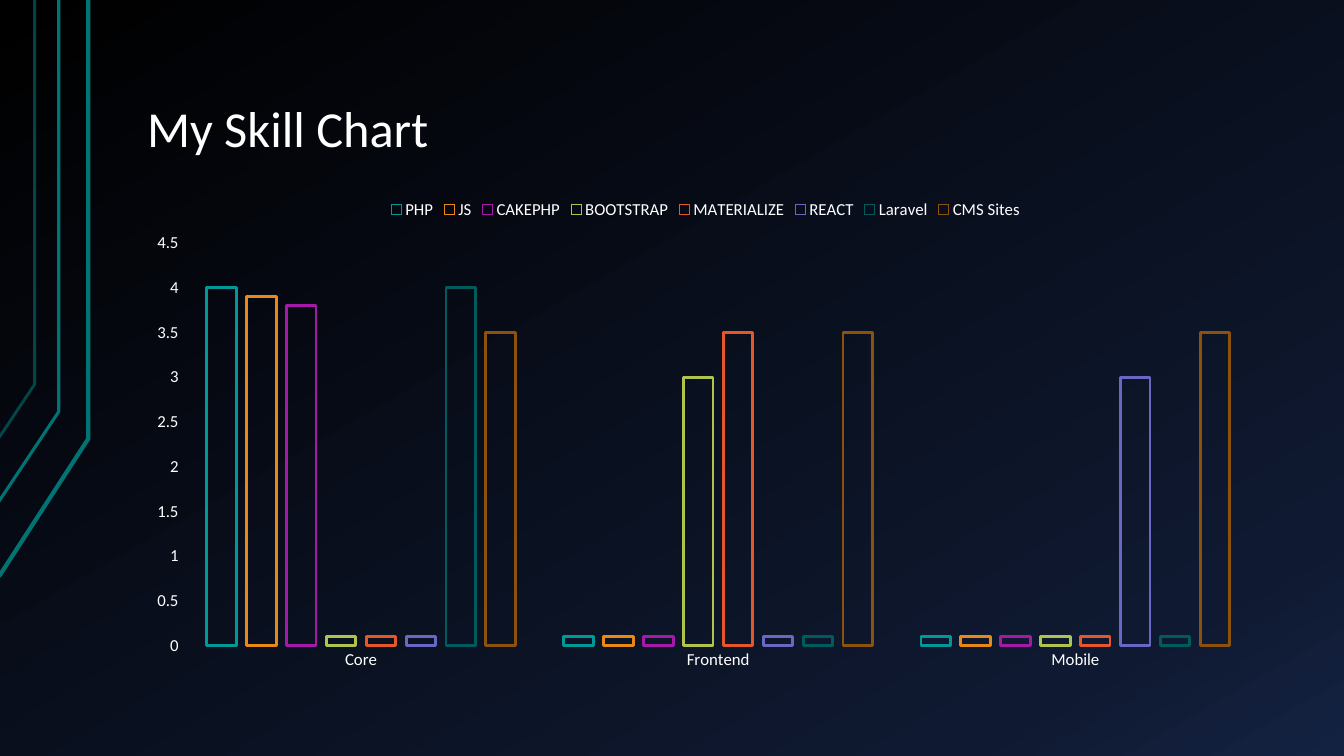
from copy import deepcopy

from lxml import etree
from pptx import Presentation
from pptx.chart.data import CategoryChartData
from pptx.dml.color import RGBColor
from pptx.enum.chart import XL_CHART_TYPE, XL_LEGEND_POSITION, XL_TICK_MARK
from pptx.enum.text import MSO_ANCHOR, PP_ALIGN
from pptx.oxml.ns import qn
from pptx.util import Pt

PX = 9525  # EMU per px, 96 px to the inch
SLIDE_W, SLIDE_H = 1280, 720
FONT = "Calibri"
COLUMNS = XL_CHART_TYPE.COLUMN_CLUSTERED
LEGEND_TOP = XL_LEGEND_POSITION.TOP
NO_TICK = XL_TICK_MARK.NONE
BOTTOM = MSO_ANCHOR.BOTTOM
LEFT = PP_ALIGN.LEFT
TITLE_ONLY = 5

COLORS = {
    "black": "000000", "navy": "0F1931", "blue": "142242",
    "white": "FFFFFF", "circuit": "007373",
    "teal": "009999", "orange": "E98915", "purple": "A419A7", "lime": "AFC34D",
    "red": "E5572B", "violet": "6868C4", "dark teal": "005C5C", "brown": "8C520D",
}
BACKGROUND_STOPS = [(0, "black"), (0.85, "navy"), (1, "blue")]

AREAS = ["Core", "Frontend", "Mobile"]
SKILLS = [
    ("PHP", (4, 0.1, 0.1), "teal"),
    ("JS", (3.9, 0.1, 0.1), "orange"),
    ("CAKEPHP", (3.8, 0.1, 0.1), "purple"),
    ("BOOTSTRAP", (0.1, 3, 0.1), "lime"),
    ("MATERIALIZE", (0.1, 3.5, 0.1), "red"),
    ("REACT", (0.1, 0.1, 3), "violet"),
    ("Laravel", (4, 0.1, 0.1), "dark teal"),
    ("CMS Sites", (3.5, 3.5, 3.5), "brown"),
]


def rgb(name):
    return RGBColor.from_string(COLORS[name])


def emu(box):
    return [length * PX for length in box]


def style_font(font, size):
    font.name = FONT
    font.size = Pt(size)
    font.color.rgb = rgb("white")


def paint_background(slide):
    fill = slide.background.fill
    fill.gradient()
    fill.gradient_angle = 300
    # A new gradient has two stops: add the third
    stop_list = next(slide.element.iter(qn("a:gsLst")))
    stop_list.append(deepcopy(stop_list[-1]))
    for stop, (position, color) in zip(fill.gradient_stops, BACKGROUND_STOPS):
        stop.position = position
        stop.color.rgb = rgb(color)


def draw_circuit_lines(slide, box):
    left, top, _, _ = box
    # Bend x, bend y, end x, end y, line width, opacity in percent
    traces = [
        (84, 418, -1, 549, 3, 100),
        (56, 392, -2, 479, 2.25, 100),
        (33, 366, -1, 417, 2, 60),
    ]
    for bend_x, bend_y, end_x, end_y, width, opacity in traces:
        builder = slide.shapes.build_freeform(left + end_x, top + end_y, scale=PX)
        builder.add_line_segments(
            [(left + bend_x, top + bend_y), (left + bend_x, top)], close=False)
        trace = builder.convert_to_shape()
        trace.shadow.inherit = False
        trace.fill.background()
        trace.line.width = Pt(width)
        trace.line.color.rgb = rgb("circuit")
        if opacity < 100:
            color = next(trace.line._ln.iter(qn("a:srgbClr")))
            etree.SubElement(color, qn("a:alpha"), val=str(opacity * 1000))


def write_title(slide, box):
    title = slide.shapes.title
    title.left, title.top, title.width, title.height = emu(box)
    frame = title.text_frame
    frame.vertical_anchor = BOTTOM
    frame.margin_left = frame.margin_right = 12 * PX
    frame.margin_top = frame.margin_bottom = 7 * PX
    heading = frame.paragraphs[0]
    heading.alignment = LEFT
    heading.line_spacing = 0.9
    run = heading.add_run()
    run.text = "My Skill Chart"
    style_font(run.font, 36)


def add_skill_chart(slide, box):
    data = CategoryChartData()
    data.categories = AREAS
    for name, levels, _ in SKILLS:
        data.add_series(name, levels)
    chart = slide.shapes.add_chart(COLUMNS, *emu(box), data).chart
    style_font(chart.font, 10)
    chart.has_title = False

    # Legend
    chart.has_legend = True
    chart.legend.position = LEGEND_TOP
    chart.legend.include_in_layout = False
    style_font(chart.legend.font, 12)

    # Axes
    for axis in (chart.category_axis, chart.value_axis):
        axis.has_major_gridlines = False
        axis.major_tick_mark = axis.minor_tick_mark = NO_TICK
        axis.format.line.fill.background()
        style_font(axis.tick_labels.font, 12)
    level_axis = chart.value_axis
    level_axis.minimum_scale, level_axis.maximum_scale = 0, 4.5
    level_axis.major_unit = 0.5

    # Outlined columns
    plot = chart.plots[0]
    plot.gap_width = 164
    plot.overlap = -35
    plot.vary_by_categories = False
    for skill, (_, _, color) in zip(plot.series, SKILLS):
        skill.invert_if_negative = False
        skill.format.fill.background()
        skill.format.line.width = Pt(2)
        skill.format.line.color.rgb = rgb(color)


def build_skill_slide(deck):
    slide = deck.slides.add_slide(deck.slide_layouts[TITLE_ONLY])
    paint_background(slide)
    draw_circuit_lines(slide, (0, 0, 84, 549))
    write_title(slide, (128, 29, 1088, 129))
    add_skill_chart(slide, (128, 179, 1088, 468))


def main():
    deck = Presentation()
    deck.slide_width, deck.slide_height = emu((SLIDE_W, SLIDE_H))
    build_skill_slide(deck)
    deck.save("out.pptx")


if __name__ == "__main__":
    main()
